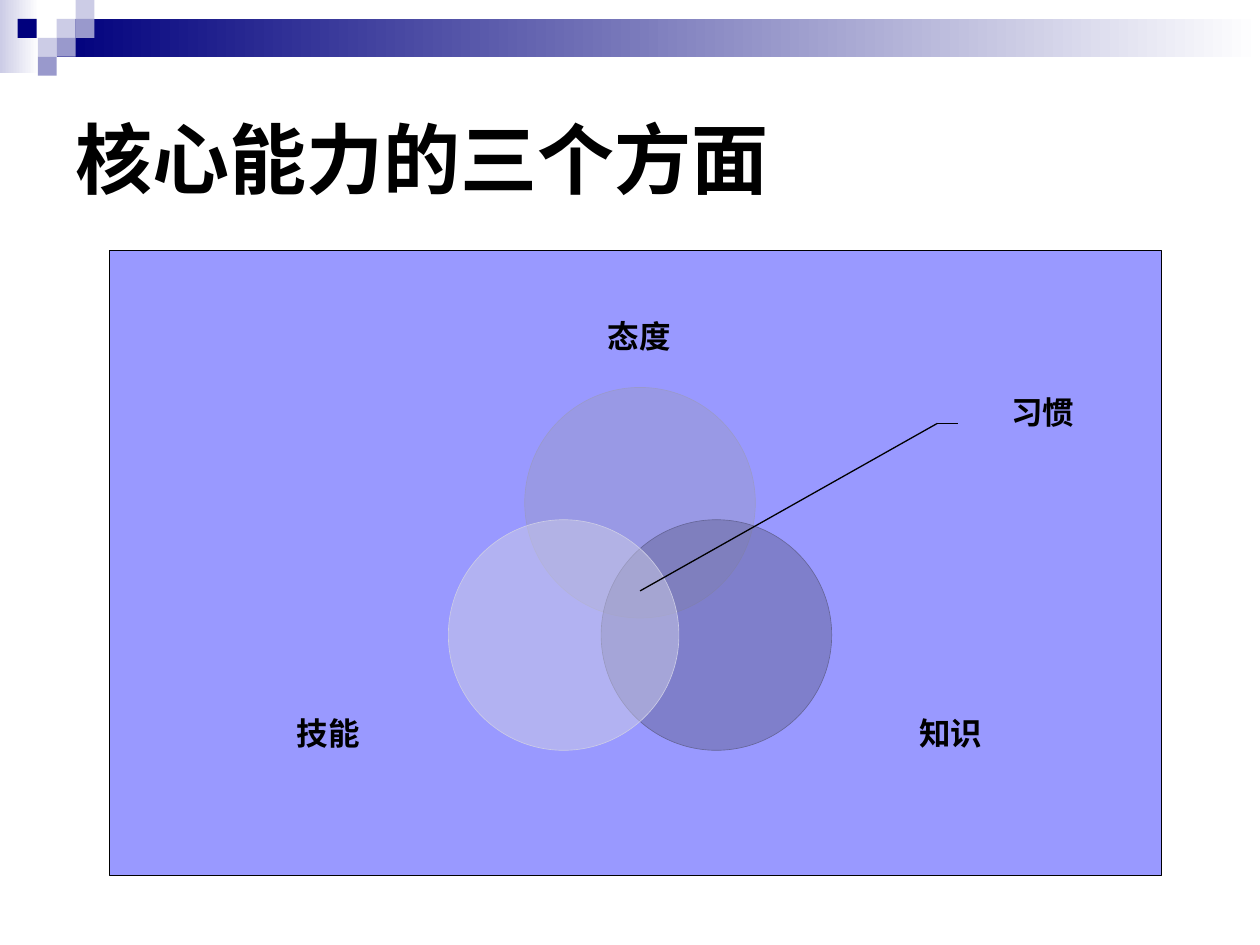
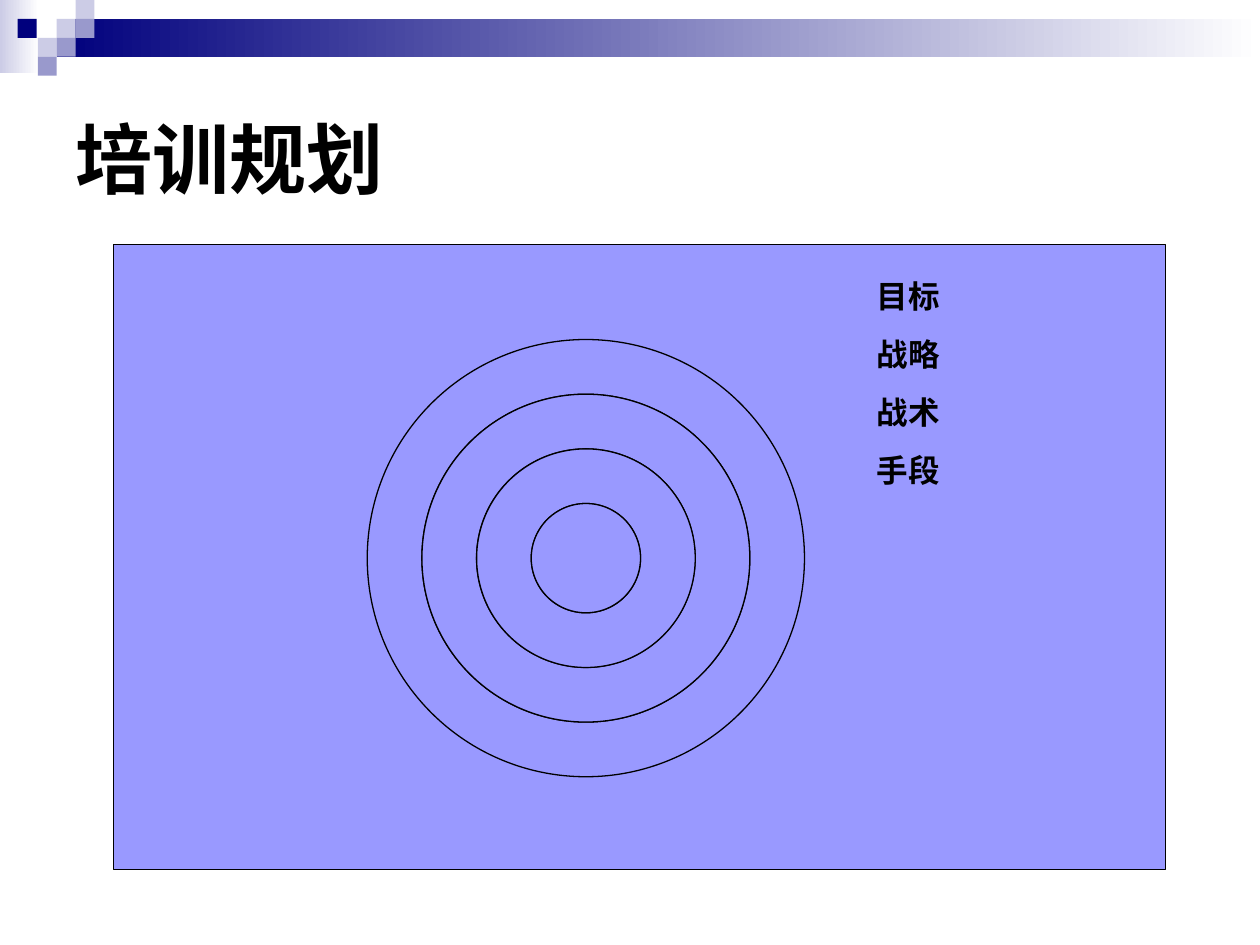
"""Build two training slides: the three sides of core competence and the training plan."""
from math import cos, radians, sin

from lxml import etree
from pptx import Presentation
from pptx.dml.color import RGBColor
from pptx.enum.shapes import MSO_CONNECTOR, MSO_SHAPE
from pptx.enum.text import MSO_ANCHOR, PP_ALIGN
from pptx.oxml.ns import qn
from pptx.util import Inches, Pt

BLACK = RGBColor(0x00, 0x00, 0x00)
WHITE = RGBColor(0xFF, 0xFF, 0xFF)
NAVY = RGBColor(0x00, 0x00, 0x7D)
PALE = RGBColor(0xCC, 0xCC, 0xE6)
LILAC = RGBColor(0x99, 0x99, 0xCC)
SLATE = RGBColor(0x66, 0x66, 0x99)
PERIWINKLE = RGBColor(0x99, 0x99, 0xFF)

FONT = "Arial"
MOSAIC = [
    (0.45, 0.15, PALE), (0.6, 0, PALE), (0.6, 0.15, LILAC), (0.3, 0.3, PALE),
    (0.14, 0.15, NAVY), (0.45, 0.3, LILAC), (0.3, 0.45, LILAC),
]
TILE = 0.15


class Deck:
    def __init__(self):
        self.presentation = Presentation()
        self.presentation.slide_width = Inches(10)
        self.presentation.slide_height = Inches(7.5)
        self.slide = None

    def start_slide(self, heading):
        layout = self.presentation.slide_layouts[5]
        self.slide = self.presentation.slides.add_slide(layout)
        self.gradient_band(0, 0, 0.31, 0.58, PALE)
        self.gradient_band(0.45, 0.15, 9.55, 0.3, NAVY)
        for left, top, color in MOSAIC:
            self.shape(MSO_SHAPE.RECTANGLE, left, top, TILE, TILE, color)
        title = self.slide.shapes.title
        title.left, title.top = Inches(0.5), Inches(0.5)
        title.width, title.height = Inches(9), Inches(1.5)
        self.set_text(title.text_frame, heading, 44, PP_ALIGN.LEFT)

    def set_text(self, frame, text, size, align):
        frame.text = text
        frame.vertical_anchor = MSO_ANCHOR.MIDDLE
        paragraph = frame.paragraphs[0]
        paragraph.alignment = align
        font = paragraph.font
        font.name, font.size, font.bold = FONT, Pt(size), True
        font.color.rgb = BLACK

    def shape(self, kind, left, top, width, height, fill, line=None, weight=0.75):
        shape = self.slide.shapes.add_shape(
            kind, Inches(left), Inches(top), Inches(width), Inches(height))
        shape.shadow.inherit = False
        shape.fill.solid()
        shape.fill.fore_color.rgb = fill
        if line is None:
            shape.line.fill.background()
        else:
            shape.line.color.rgb = line
            shape.line.width = Pt(weight)
        return shape

    def gradient_band(self, left, top, width, height, color):
        band = self.shape(MSO_SHAPE.RECTANGLE, left, top, width, height, color)
        band.fill.gradient()
        band.fill.gradient_angle = 0
        for stop, tint in zip(band.fill.gradient_stops, (color, WHITE)):
            stop.color.rgb = tint

    def panel(self, left, top):
        self.shape(MSO_SHAPE.RECTANGLE, left, top, 8.35, 4.96, PERIWINKLE, BLACK)

    def circle(self, kind, x, y, radius, fill, line, weight=0.75):
        return self.shape(kind, x - radius, y - radius, 2 * radius, 2 * radius,
                          fill, line, weight)

    def glass_circle(self, x, y, radius, color):
        circle = self.circle(MSO_SHAPE.OVAL, x, y, radius, color, color, 0.37)
        tint = circle.element.spPr.find(qn("a:solidFill")).find(qn("a:srgbClr"))
        etree.SubElement(tint, qn("a:alpha"), val="50000")

    def label(self, text, left, top, width, align=PP_ALIGN.CENTER):
        box = self.slide.shapes.add_textbox(
            Inches(left), Inches(top), Inches(width), Inches(0.46))
        box.text_frame.word_wrap = False
        self.set_text(box.text_frame, text, 18, align)

    def line(self, start, end):
        line = self.slide.shapes.add_connector(
            MSO_CONNECTOR.STRAIGHT, *map(Inches, start + end))
        line.line.color.rgb = BLACK
        line.line.width = Pt(0.75)
        etree.SubElement(line.element.spPr, qn("a:effectLst"))


def add_competence(deck):
    deck.start_slide("核心能力的三个方面")
    deck.panel(0.87, 1.99)
    center_x, center_y, spread = 5.08, 4.69, 0.7
    aspects = [
        ("态度", -90, LILAC, 4.16, 2.44),
        ("知识", 30, SLATE, 6.63, 5.59),
        ("技能", 150, PALE, 1.69, 5.59),
    ]
    for name, angle, color, left, top in aspects:
        x = center_x + spread * cos(radians(angle))
        y = center_y + spread * sin(radians(angle))
        deck.glass_circle(x, y, 1.83 / 2, color)
        deck.label(name, left, top, 1.83)
    deck.label("习惯", 7.36, 3.04, 1.83)
    elbow = (7.44, 3.36)
    deck.line((center_x, center_y), elbow)
    deck.line(elbow, (7.6, 3.36))


def add_training_plan(deck):
    deck.start_slide("培训规划")
    deck.panel(0.9, 1.94)
    levels = ["目标", "战略", "战术", "手段"]
    center_x, center_y = 4.65, 4.43
    ring_width = 3.47 / 2 / len(levels)
    for ring in range(len(levels), 0, -1):
        kind = MSO_SHAPE.DONUT if ring > 1 else MSO_SHAPE.OVAL
        circle = deck.circle(kind, center_x, center_y, ring * ring_width,
                             PERIWINKLE, BLACK)
        if ring > 1:
            circle.adjustments[0] = 1 / (2 * ring)
        deck.label(levels[ring - 1], 6.86, 2.12 + 0.46 * (ring - 1), 0.7,
                   PP_ALIGN.LEFT)


def main():
    deck = Deck()
    add_competence(deck)
    add_training_plan(deck)
    deck.presentation.save("out.pptx")


if __name__ == "__main__":
    main()
